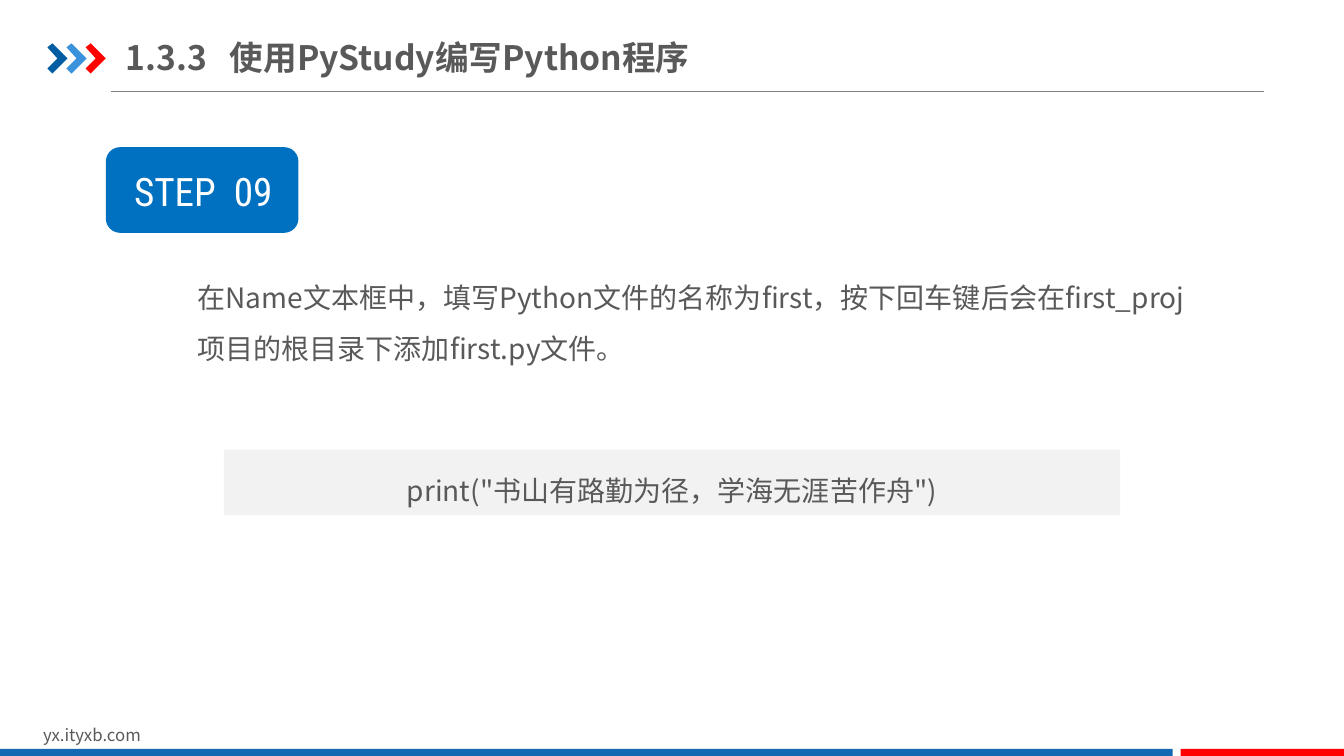
import pptx
import pptx.util
import pptx.dml.color
import pptx.enum.shapes
import pptx.enum.text
import pptx.oxml
import pptx.oxml.ns

TITLE = "1.3.3\t使用PyStudy编写Python程序"
STEP = "STEP\t09"
INSTRUCTION = "在Name文本框中，填写Python文件的名称为first，按下回车键后会在first_proj项目的根目录下添加first.py文件。"
CODE = 'print("书山有路勤为径，学海无涯苦作舟")'
SITE = "yx.ityxb.com"
CHEVRON_COLORS = ["005DA2", "3992DB", "FF0000"]
CHEVRON_POINTS = [(0, 0.04), (0.05, 0), (0.2, 0.15), (0.05, 0.3), (0, 0.25), (0.1, 0.15)]
CHEVRON_LEFT, CHEVRON_TOP, CHEVRON_STEP = 0.47, 0.43, 0.19
FOOTER_BARS = [(0, 11.63, "1369B2"), (11.71, 1.63, "FF0000")]
FONT = "Noto Sans CJK SC"
GRAY = "595959"

Inches = pptx.util.Inches
Shapes = pptx.enum.shapes.MSO_SHAPE
Align = pptx.enum.text.PP_ALIGN
Anchor = pptx.enum.text.MSO_ANCHOR


def color(value):
    return pptx.dml.color.RGBColor.from_string(value)


def paint(shape, fill):
    shape.shadow.inherit = False
    shape.fill.solid()
    shape.fill.fore_color.rgb = color(fill)
    shape.line.fill.background()
    return shape


def add_block(page, kind, area, fill):
    return paint(page.shapes.add_shape(kind, *map(Inches, area)), fill)


def add_box(page, area):
    return page.shapes.add_textbox(*map(Inches, area))


def write(shape, text, size=20, font=FONT, ink=GRAY, bold=False, align=Align.LEFT,
          anchor=Anchor.TOP, spacing=None, margins=(0.1, 0.05, 0.1, 0.05), tab=None):
    frame = shape.text_frame
    frame.word_wrap = True
    frame.vertical_anchor = anchor
    frame.margin_left, frame.margin_top, frame.margin_right, frame.margin_bottom = map(Inches, margins)
    para = frame.paragraphs[0]
    para.alignment = align
    if spacing:
        para.line_spacing = spacing
    if tab:
        properties = para._p.get_or_add_pPr()
        stops = pptx.oxml.parse_xml(
            f'<a:tabLst {pptx.oxml.ns.nsdecls("a")}><a:tab pos="{Inches(tab)}" algn="l"/></a:tabLst>')
        properties.append(stops)
    span = para.add_run()
    span.text = text
    span.font.size = pptx.util.Pt(size)
    span.font.bold = bold
    span.font.color.rgb = color(ink)
    span.font.name = font
    east_asian = pptx.oxml.parse_xml(f'<a:ea {pptx.oxml.ns.nsdecls("a")} typeface="{font}"/>')
    span.font._element.append(east_asian)


def add_header(page):
    rule = page.shapes.add_connector(pptx.enum.shapes.MSO_CONNECTOR.STRAIGHT,
                                     *map(Inches, (1.1, 0.91, 12.54, 0.91)))
    rule.line.color.rgb = color("808080")
    rule.line.width = pptx.util.Pt(0.75)
    rule._element.spPr.append(pptx.oxml.parse_xml(f'<a:effectLst {pptx.oxml.ns.nsdecls("a")}/>'))
    for index, fill in enumerate(CHEVRON_COLORS):
        left = CHEVRON_LEFT + index * CHEVRON_STEP
        points = [(Inches(left + x), Inches(CHEVRON_TOP + y)) for x, y in CHEVRON_POINTS]
        builder = page.shapes.build_freeform(*points[0])
        builder.add_line_segments(points[1:], close=True)
        paint(builder.convert_to_shape(), fill)
    write(add_box(page, (1.25, 0.29, 6.23, 0.55)), TITLE, size=24, bold=True,
          anchor=Anchor.MIDDLE, margins=(0, 0.07, 0, 0.07), tab=1.03)


def add_footer(page):
    write(add_box(page, (0.33, 7.14, 3.18, 0.3)), SITE, size=12)
    for left, width, fill in FOOTER_BARS:
        add_block(page, Shapes.RECTANGLE, (left, 7.43, width, 0.09), fill)


def add_content(page):
    add_block(page, Shapes.ROUNDED_RECTANGLE, (1.05, 1.46, 1.91, 0.85), "0070C0")
    write(add_box(page, (1.15, 1.61, 1.78, 0.57)), STEP, size=28, font="Roboto Condensed",
          ink="FFFFFF", margins=(0.18, 0.05, 0.1, 0.05), tab=0.99)
    write(add_box(page, (1.86, 2.57, 10.12, 1.31)), INSTRUCTION, spacing=1.5)
    code_panel = add_block(page, Shapes.RECTANGLE, (2.22, 4.46, 8.89, 0.65), "F2F2F2")
    write(code_panel, CODE, align=Align.CENTER, anchor=Anchor.MIDDLE, spacing=1.5)


def main():
    deck = pptx.Presentation()
    deck.slide_width, deck.slide_height = Inches(13.33), Inches(7.5)
    page = deck.slides.add_slide(deck.slide_layouts[6])
    add_header(page)
    add_footer(page)
    add_content(page)
    deck.save("out.pptx")


if __name__ == "__main__":
    main()
